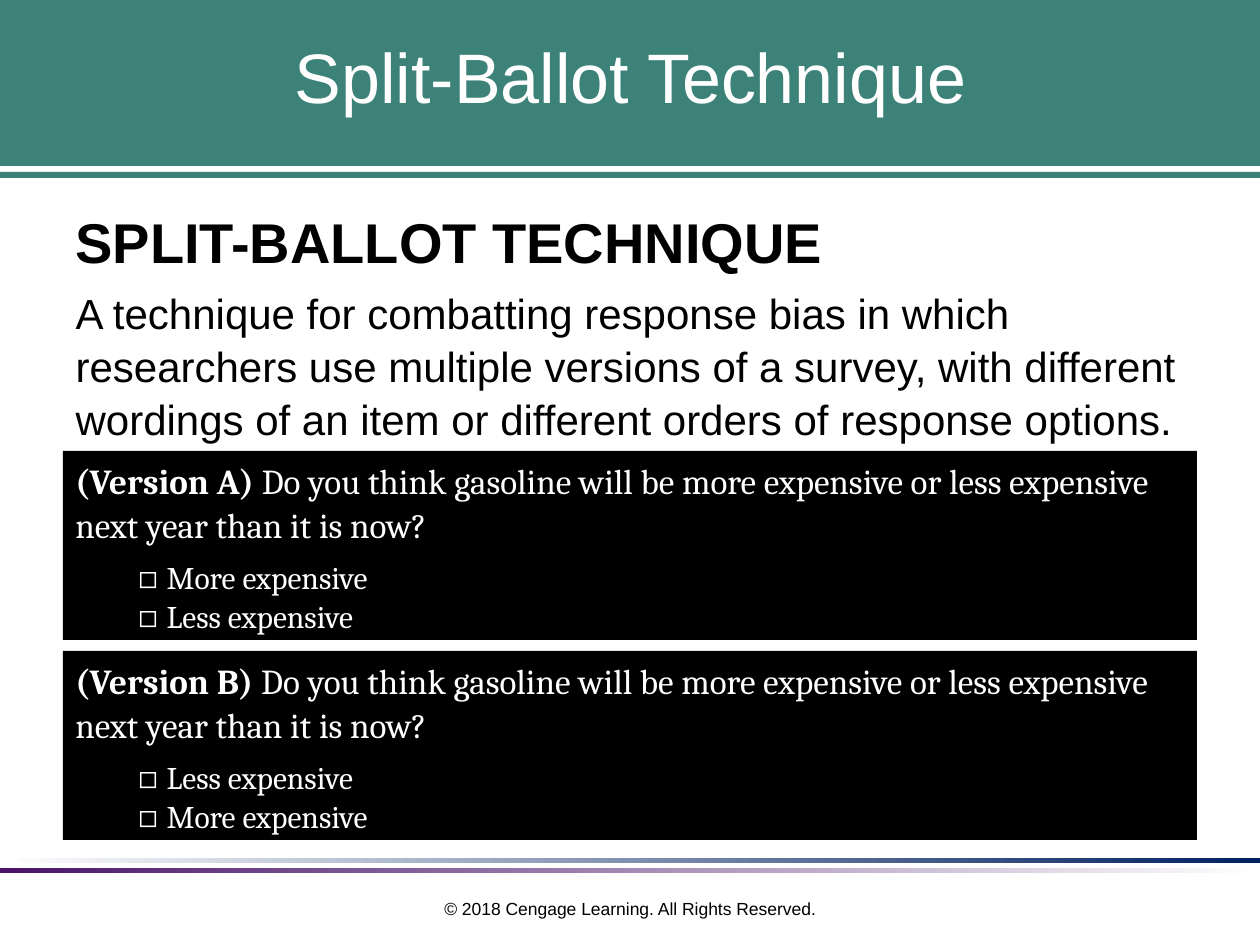
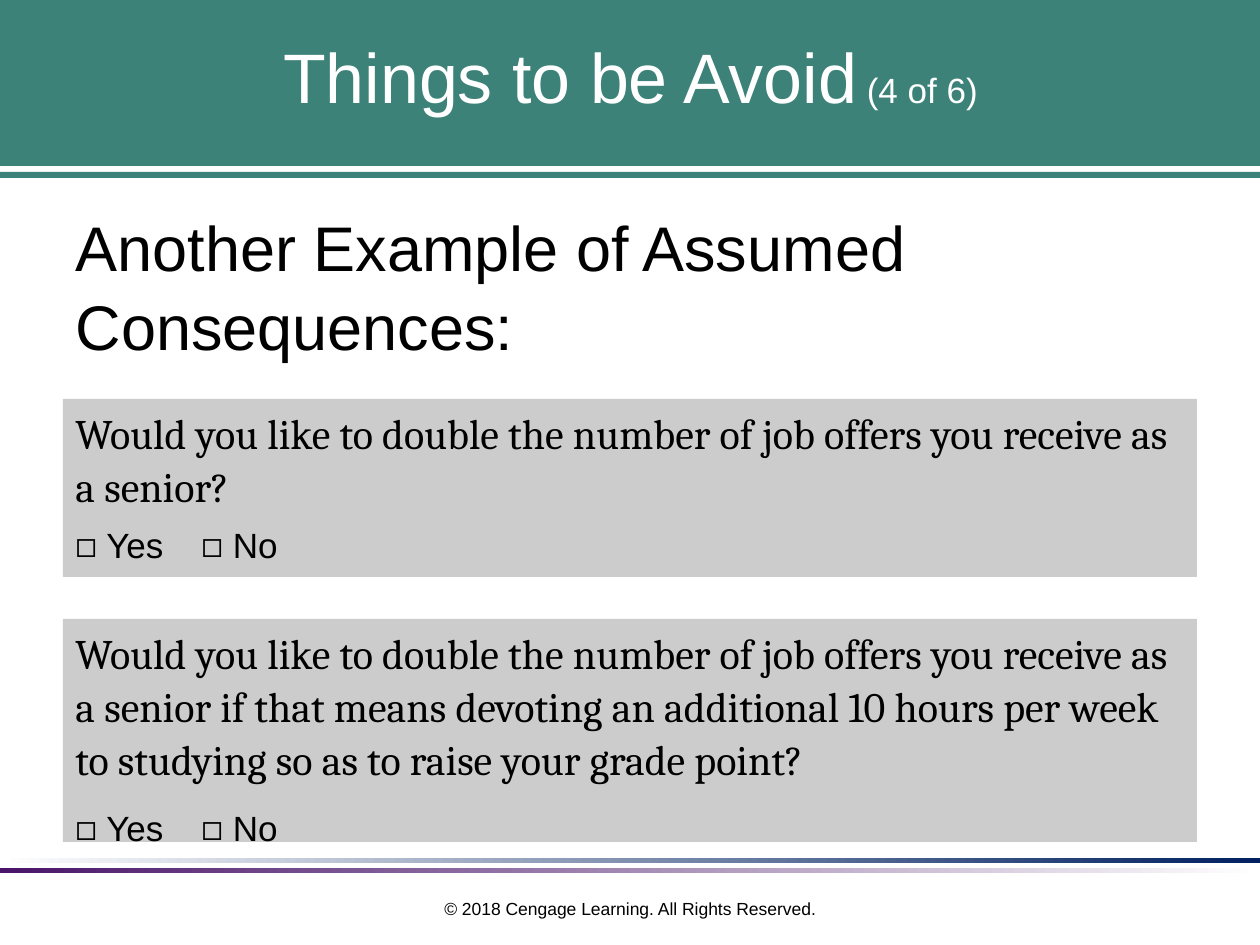
import pptx
import pptx.util
import pptx.dml.color
import pptx.enum.shapes
import pptx.enum.text
import pptx.oxml
from pptx.oxml.ns import qn

EMU_PER_PX = 914400 / 126
WIDE, HIGH = 1260, 945
LEFT, SPAN = 63, 1134

COLORS = {
    "teal": "3C8278", "purple": "491469", "navy": "002060",
    "white": "FFFFFF", "black": "000000", "gray": "CCCCCC",
}
ALIGN = pptx.enum.text.PP_ALIGN
ANCHOR = pptx.enum.text.MSO_ANCHOR

# Text formats
TITLE = {"size": 40, "name": "Arial", "color": "white"}
COUNT = {**TITLE, "size": 20}
HEAD = {"size": 32, "name": "Arial", "color": "black", "bold": True}
TEXT = {"size": 24, "name": "Arial", "color": "black", "bold": False}
TOPIC = {**TEXT, "size": 36}
ASK = {**TEXT, "name": "Cambria"}
REPLY = {**TEXT, "size": 20}
NOTE = {**TEXT, "size": 10}
QUERY = {"size": 20, "name": "Cambria", "color": "white", "bold": False}
LABEL = {**QUERY, "bold": True}
CHOICE = {**QUERY, "size": 18}
MARK = {**CHOICE, "name": "Arial"}


def px(n):
    return pptx.util.Emu(round(n * EMU_PER_PX))


def tint(name):
    return pptx.dml.color.RGBColor.from_string(COLORS[name])


def assign(item, values):
    for key, value in values.items():
        setattr(item, key, value)


def place(shape, x, y, w, h):
    assign(shape, {"left": px(x), "top": px(y), "width": px(w), "height": px(h)})


def line(*runs, before=0, after=6, indent=0, tab=None):
    """Describe one paragraph: runs are (text, format) pairs."""
    return {"runs": runs, "before": before, "after": after, "indent": indent, "tab": tab}


def write(shape, lines, align=ALIGN.LEFT, anchor=ANCHOR.TOP, spacing=1.05):
    frame = shape.text_frame
    assign(frame, {"word_wrap": True, "auto_size": pptx.enum.text.MSO_AUTO_SIZE.NONE,
                   "vertical_anchor": anchor})
    for i, item in enumerate(lines):
        para = frame.paragraphs[0] if i == 0 else frame.add_paragraph()
        props = para._p.get_or_add_pPr()
        props.set("marL", str(px(item["indent"])))
        props.set("indent", "0")
        pptx.oxml.parse_xml  # bullet and tab elements have no public method
        props.append(props.makeelement(qn("a:buNone"), {}))
        if item["tab"]:
            tabs = props.makeelement(qn("a:tabLst"), {})
            tabs.append(tabs.makeelement(qn("a:tab"), {"pos": str(px(item["tab"])), "algn": "l"}))
            props.append(tabs)
        assign(para, {"alignment": align, "line_spacing": spacing,
                      "space_before": pptx.util.Pt(item["before"]),
                      "space_after": pptx.util.Pt(item["after"])})
        for text, look in item["runs"]:
            run = para.add_run()
            run.text = text
            values = {k: v for k, v in look.items() if k != "color"}
            assign(run.font, {**values, "size": pptx.util.Pt(look["size"])})
            run.font.color.rgb = tint(look["color"])


def block(slide, x, y, w, h, color, fade=None, angle=0):
    """Add a borderless rectangle, plain or fading to a second colour."""
    shape = slide.shapes.add_shape(
        pptx.enum.shapes.MSO_SHAPE.RECTANGLE, px(x), px(y), px(w), px(h))
    shape.shadow.inherit = False
    shape.line.fill.background()
    if fade:
        shape.fill.gradient()
        shape.fill.gradient_angle = angle
        for stop, (pos, name) in zip(shape.fill.gradient_stops, ((0, color), (1, fade))):
            stop.position = pos
            stop.color.rgb = tint(name)
    else:
        shape.fill.solid()
        shape.fill.fore_color.rgb = tint(color)
    return shape


def panel(slide, y, h, color, lines):
    write(block(slide, LEFT, y, SPAN, h, color), lines)


def brand(deck, slide):
    """Draw the bands and footer, then move them to the master for all slides."""
    note = slide.shapes.add_textbox(px(428), px(892), px(404), px(38))
    write(note, [line(("© 2018 Cengage Learning. All Rights Reserved.", NOTE), after=0)],
          ALIGN.CENTER, spacing=1)
    parts = [
        block(slide, 0, 0, WIDE, 166, "teal"),
        block(slide, 0, 868, WIDE, 5, "purple", "white"),
        block(slide, 0, 858, WIDE, 5, "navy", "white", 180),
        block(slide, 0, 172, WIDE, 6, "teal"),
        note,
    ]
    tree = deck.slide_master.shapes.element
    for i, part in enumerate(parts):
        part.element.nvSpPr.cNvPr.set("id", str(100 + i))
        tree.append(part.element)


def start(deck, title, high, body):
    """Add a slide with its title and body placeholders filled."""
    slide = deck.slides.add_slide(deck.slide_layouts[1])
    head, main_text = slide.placeholders
    place(head, 32, 0, 1197, 151)
    write(head, [line(*title, after=0)], ALIGN.CENTER, ANCHOR.MIDDLE, 1)
    place(main_text, LEFT, 198, SPAN, high)
    write(main_text, body)
    return slide


def ballot(slide, y, name, choices):
    ask = " Do you think gasoline will be more expensive or less expensive next year than it is now?"
    lines = [line((f"(Version {name})", LABEL), (ask, QUERY))]
    lines += [line(("◻ ", MARK), (text, CHOICE), after=0, indent=63) for text in choices]
    panel(slide, y, 189, "black", lines)


def yes_no(slide, y, h, ask, gap):
    panel(slide, y, h, "gray", [
        line((ask, ASK)),
        line(("◻ Yes\t◻ No", REPLY), before=gap, tab=117),
    ])


def main():
    deck = pptx.Presentation()
    assign(deck, {"slide_width": px(WIDE), "slide_height": px(HIGH)})

    # Split-ballot slide
    slide = start(deck, [("Split-Ballot Technique", TITLE)], 254, [
        line(("SPLIT-BALLOT TECHNIQUE", HEAD)),
        line(("A technique for combatting response bias in which researchers use multiple "
              "versions of a survey, with different wordings of an item or different orders "
              "of response options.", TEXT)),
    ])
    brand(deck, slide)
    choices = ["More expensive", "Less expensive"]
    ballot(slide, 451, "A", choices)
    ballot(slide, 651, "B", choices[::-1])

    # Assumed consequences slide
    slide = start(deck, [("Things to be Avoid", TITLE), (" (4 of 6)", COUNT)], 170, [
        line(("Another Example of Assumed Consequences:", TOPIC)),
    ])
    offer = "Would you like to double the number of job offers you receive as a senior"
    yes_no(slide, 399, 178, offer + "?", 0)
    yes_no(slide, 619, 223, offer + " if that means devoting an additional 10 hours per week "
           "to studying so as to raise your grade point?", 6)

    deck.save("out.pptx")


if __name__ == "__main__":
    main()
